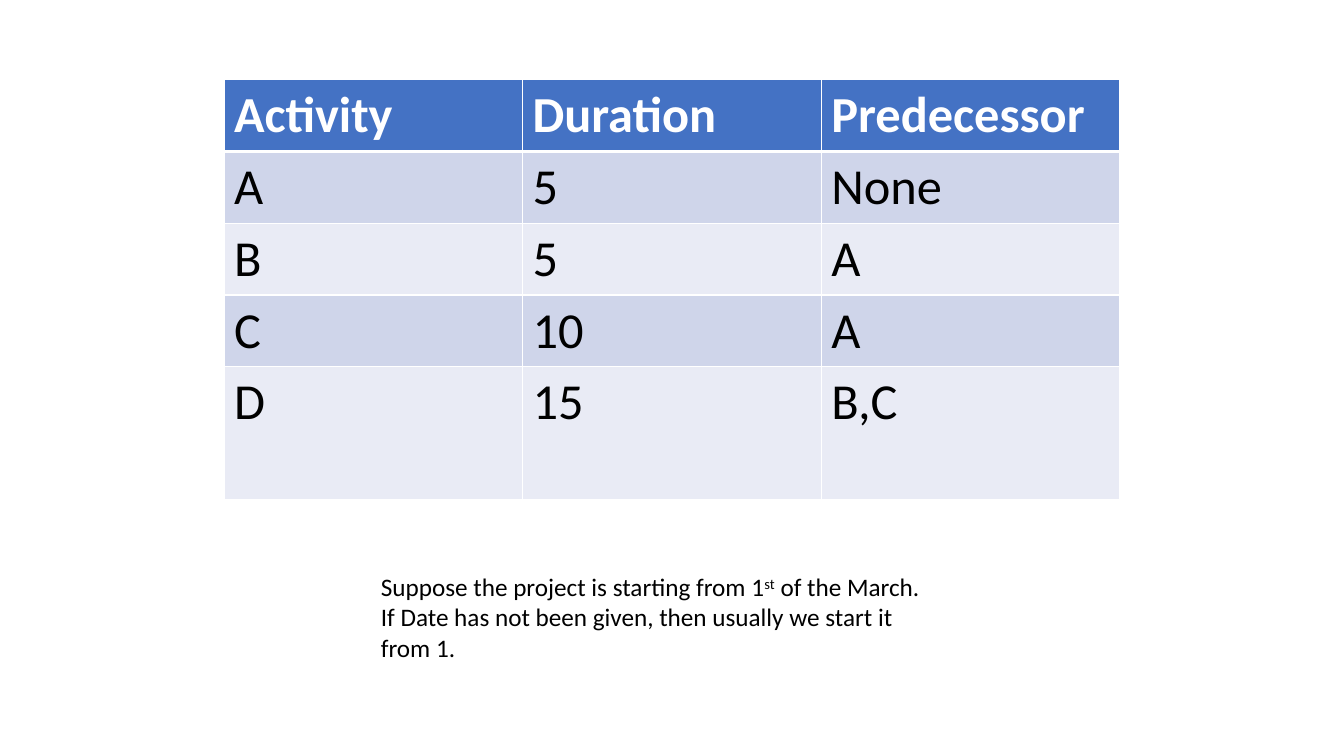
from lxml.etree import SubElement
from pptx import Presentation
from pptx.dml.color import RGBColor
from pptx.oxml import parse_xml
from pptx.oxml.ns import nsdecls
from pptx.util import Pt

COLORS = {
    "header": "4472C4",
    "odd_row": "CFD5EA",
    "even_row": "E9EBF5",
    "white": "FFFFFF",
    "black": "000000",
}
FONT = "Calibri"
ACTIVITIES = [
    ("Activity", "Duration", "Predecessor"),
    ("A", "5", "None"),
    ("B", "5", "A"),
    ("C", "10", "A"),
    ("D", "15", "B,C"),
]
ROW_HEIGHT = 51.1
NOTE = [
    ("Suppose the project is starting from 1", False),
    ("st", True),
    (" of the March. If Date has not been given, "
     "then usually we start it from 1.", False),
]


def color(name):
    return RGBColor.from_string(COLORS[name])


def set_font(para, size, color_name, bold=False):
    para.font.name = FONT
    para.font.size = Pt(size)
    para.font.bold = bold
    para.font.color.rgb = color(color_name)


def set_borders(cell, bottom_width, top_width):
    """Draw white borders, which must come before the fill in the cell XML."""
    properties = cell._tc.get_or_add_tcPr()
    widths = {"lnL": 1, "lnR": 1, "lnT": top_width, "lnB": bottom_width}
    for position, (side, width) in enumerate(widths.items()):
        line = parse_xml(
            f'<a:{side} {nsdecls("a")} w="{Pt(width)}"><a:solidFill>'
            f'<a:srgbClr val="{COLORS["white"]}"/></a:solidFill></a:{side}>')
        SubElement(line, line.tag.replace(side, "prstDash"), val="solid")
        properties.insert(position, line)


def add_activity_table(slide, left, top, width, height):
    """Give every row the same height and the last one what remains."""
    row_count, column_count = len(ACTIVITIES), len(ACTIVITIES[0])
    table = slide.shapes.add_table(
        row_count, column_count, Pt(left), Pt(top), Pt(width), Pt(height)).table
    for column in table.columns:
        column.width = Pt(width / column_count)
    for row in table.rows:
        row.height = Pt(ROW_HEIGHT)
    table.rows[row_count - 1].height = Pt(height - ROW_HEIGHT * (row_count - 1))

    for row_index, values in enumerate(ACTIVITIES):
        is_header = row_index == 0
        band = "odd_row" if row_index % 2 else "even_row"
        for column_index, value in enumerate(values):
            cell = table.cell(row_index, column_index)
            cell.text = value
            set_font(cell.text_frame.paragraphs[0], 36,
                     "white" if is_header else "black", is_header)
            cell.fill.solid()
            cell.fill.fore_color.rgb = color("header" if is_header else band)
            set_borders(cell, bottom_width=3 if is_header else 1,
                        top_width=3 if row_index == 1 else 1)


def add_note(slide, left, top, width, height):
    box = slide.shapes.add_textbox(Pt(left), Pt(top), Pt(width), Pt(height))
    box.text_frame.word_wrap = True
    para = box.text_frame.paragraphs[0]
    set_font(para, 18, "black")
    for text, is_superscript in NOTE:
        span = para.add_run()
        span.text = text
        if is_superscript:
            span._r.get_or_add_rPr().set("baseline", "30000")


def main():
    deck = Presentation()
    deck.slide_width, deck.slide_height = Pt(960), Pt(540)
    page = deck.slides.add_slide(deck.slide_layouts[6])
    add_activity_table(page, 160, 56.9, 640, 299.3)
    add_note(page, 265, 404.6, 410.4, 72.7)
    deck.save("out.pptx")


if __name__ == "__main__":
    main()
